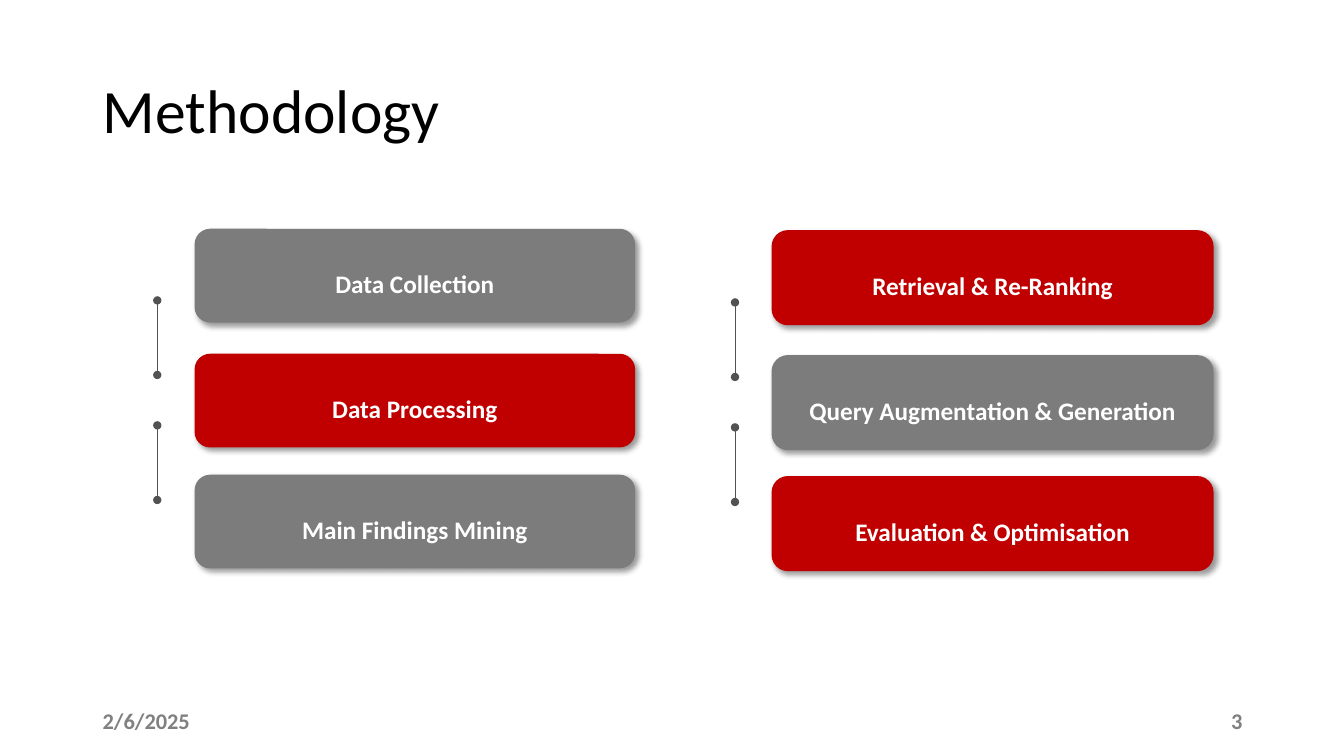
"""Build the Methodology slide: two columns of three linked steps."""
from lxml import etree
from pptx import Presentation
from pptx.dml.color import RGBColor
from pptx.enum import shapes, text
from pptx.oxml.ns import qn
from pptx.util import Inches, Pt

BLACK = RGBColor(0x00, 0x00, 0x00)
WHITE = RGBColor(0xFF, 0xFF, 0xFF)
RED = RGBColor(0xC0, 0x00, 0x00)
GREY = RGBColor(0x7C, 0x7C, 0x7C)
FOOTER_GREY = RGBColor(0x80, 0x80, 0x80)
LINK_GREY = RGBColor(0x52, 0x52, 0x52)

TITLE = "Methodology"
DATE = "2/6/2025"
PAGE_NUMBER = "3"
COLUMNS = [
    {"left": 1.93, "top": 2.27, "outlined": False,
     "steps": [("Data Collection", GREY), ("Data Processing", RED),
               ("Main Findings Mining", GREY)]},
    {"left": 7.66, "top": 2.29, "outlined": True,
     "steps": [("Retrieval & Re-Ranking", RED),
               ("Query Augmentation & Generation", GREY),
               ("Evaluation & Optimisation", RED)]},
]
STEP_OFFSETS = (0, 1.24, 2.44)
STEP_WIDTH, STEP_HEIGHT = 4.37, 0.93
LINK_OFFSETS = (0.71, 1.95)
LINK_GAP, LINK_LENGTH = 0.37, 0.74


def set_text(shape, words, size, color, bold=True,
             align=text.PP_ALIGN.LEFT, line_spacing=1.0):
    frame = shape.text_frame
    frame.word_wrap = True
    frame.vertical_anchor = text.MSO_ANCHOR.MIDDLE
    para = frame.paragraphs[0]
    para.text = words
    para.alignment = align
    para.line_spacing = line_spacing
    font = para.font
    font.name, font.size, font.bold = "Calibri", Pt(size), bold
    font.color.rgb = color


def add_text(page, position, *args, **style):
    box = page.shapes.add_textbox(*map(Inches, position))
    set_text(box, *args, **style)


def add_step(page, left, top, words, color, outlined):
    box = page.shapes.add_shape(
        shapes.MSO_SHAPE.ROUNDED_RECTANGLE,
        *map(Inches, (left, top, STEP_WIDTH, STEP_HEIGHT)))
    box.fill.solid()
    box.fill.fore_color.rgb = color
    if outlined:
        box.line.color.rgb = color
        box.line.width = Pt(1)
    else:
        box.line.fill.background()
    box.shadow.inherit = False
    effects = box.element.spPr.find(qn("a:effectLst"))
    shadow = etree.SubElement(
        effects, qn("a:outerShdw"), blurRad=str(Pt(4)), dist=str(Pt(3)),
        dir=str(45 * 60000), algn="tl", rotWithShape="0")
    tint = etree.SubElement(shadow, qn("a:srgbClr"), val=str(BLACK))
    etree.SubElement(tint, qn("a:alpha"), val="40000")
    set_text(box, words, 18, WHITE, align=text.PP_ALIGN.CENTER,
             line_spacing=1.5)


def add_link(page, x, top):
    link = page.shapes.add_connector(
        shapes.MSO_CONNECTOR.STRAIGHT,
        *map(Inches, (x, top, x, top + LINK_LENGTH)))
    link.line.color.rgb = LINK_GREY
    link.line.width = Pt(0.5)
    outline = link.line._get_or_add_ln()
    for end in ("a:headEnd", "a:tailEnd"):
        etree.SubElement(outline, qn(end), type="oval")
    etree.SubElement(link.element.spPr, qn("a:effectLst"))


def main():
    deck = Presentation()
    deck.slide_width, deck.slide_height = Inches(13.33), Inches(7.5)
    page = deck.slides.add_slide(deck.slide_layouts[6])

    add_text(page, (0.92, 0.4, 12.41, 1.45), TITLE, 44, BLACK, bold=False,
             line_spacing=0.9)
    add_text(page, (0.92, 6.95, 2.08, 0.4), DATE, 16, FOOTER_GREY)
    add_text(page, (10.97, 6.95, 1.45, 0.4), PAGE_NUMBER, 16, FOOTER_GREY,
             align=text.PP_ALIGN.RIGHT)

    for column in COLUMNS:
        left, top = column["left"], column["top"]
        for offset in LINK_OFFSETS:
            add_link(page, left - LINK_GAP, top + offset)
        for offset, (words, color) in zip(STEP_OFFSETS, column["steps"]):
            add_step(page, left, top + offset, words, color,
                     column["outlined"])

    deck.save("out.pptx")


if __name__ == "__main__":
    main()
